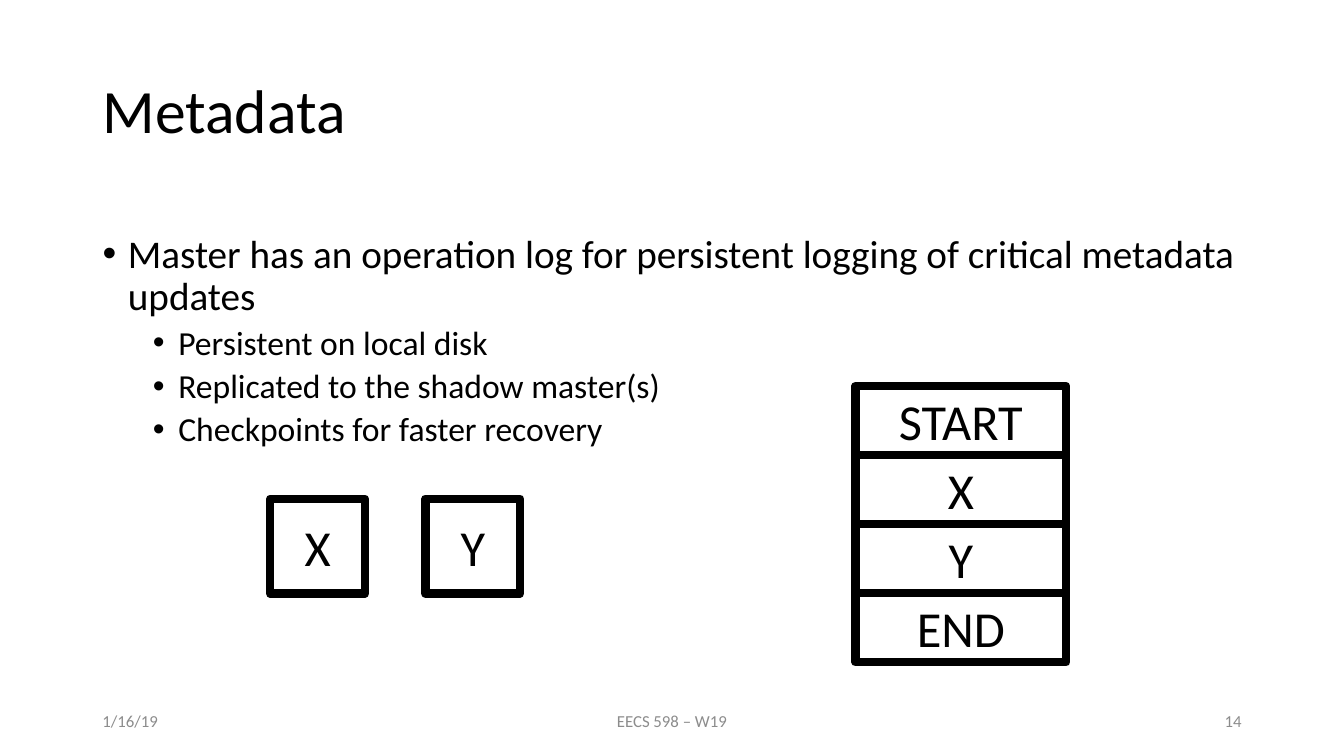
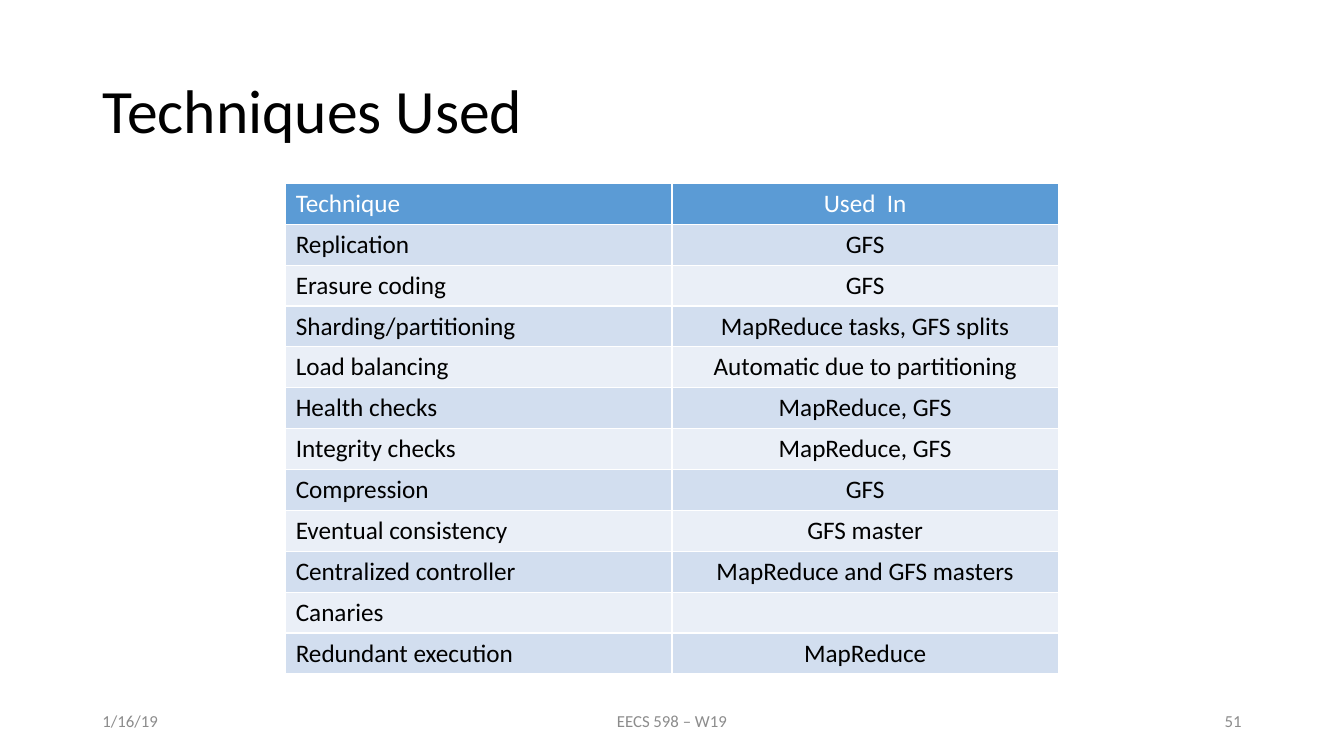
from lxml import etree
from pptx import Presentation
from pptx.dml.color import RGBColor
from pptx.enum import shapes, text
from pptx.oxml import ns
from pptx.util import Cm, Pt

BLACK = RGBColor(0x00, 0x00, 0x00)
WHITE = RGBColor(0xFF, 0xFF, 0xFF)
GREY = RGBColor(0x8C, 0x8C, 0x8C)
BLUE = RGBColor(0x5B, 0x9B, 0xD5)
BANDS = RGBColor(0xD2, 0xDE, 0xEF), RGBColor(0xEA, 0xEF, 0xF7)
FONT = "Calibri"
LEFT, CENTER, RIGHT = text.PP_ALIGN.LEFT, text.PP_ALIGN.CENTER, text.PP_ALIGN.RIGHT
MARGIN, WIDTH = Cm(2.33), Cm(29.21)

POINTS = [
    (0, "Master has an operation log for persistent logging of critical metadata updates"),
    (1, "Persistent on local disk"),
    (1, "Replicated to the shadow master(s)"),
    (1, "Checkpoints for faster recovery"),
]
USES = [
    ("Technique", "Used  In"),
    ("Replication", "GFS"),
    ("Erasure coding", "GFS"),
    ("Sharding/partitioning", "MapReduce tasks, GFS splits"),
    ("Load balancing", "Automatic due to partitioning"),
    ("Health checks", "MapReduce, GFS"),
    ("Integrity checks", "MapReduce, GFS"),
    ("Compression", "GFS"),
    ("Eventual consistency", "GFS master"),
    ("Centralized controller", "MapReduce and GFS masters"),
    ("Canaries", ""),
    ("Redundant execution", "MapReduce"),
]


def style(para, size, color=BLACK, align=LEFT):
    para.alignment = align
    font = para.font
    font.name, font.size, font.bold = FONT, Pt(size), False
    font.color.rgb = color


def place(shape, box):
    shape.left, shape.top, shape.width, shape.height = box
    frame = shape.text_frame
    frame.word_wrap = True
    frame.auto_size = text.MSO_AUTO_SIZE.NONE
    frame.vertical_anchor = text.MSO_ANCHOR.MIDDLE
    return frame


def bullet(para, level):
    para.level = level
    props = para._p.get_or_add_pPr()
    props.set("marL", str(Cm(0.64 + 1.27 * level)))
    props.set("indent", str(-Cm(0.64)))
    etree.SubElement(props, ns.qn("a:buFont")).set("typeface", "Arial")
    etree.SubElement(props, ns.qn("a:buChar")).set("char", "•")


def add_page(deck, layout, title, number):
    slide = deck.slides.add_slide(deck.slide_layouts[layout])
    frame = place(slide.shapes.title, (MARGIN, Cm(1.01), WIDTH, Cm(3.68)))
    frame.text = title
    para = frame.paragraphs[0]
    para.line_spacing = 0.9
    style(para, 44)
    add_foot(slide, (MARGIN, Cm(17.65), WIDTH, Cm(1.01)), number)
    return slide


def add_foot(slide, box, number):
    left, top, width, height = box
    side, mid = Cm(7.62), Cm(11.43)
    parts = [
        ("1/16/19", left, side, LEFT),
        ("EECS 598 – W19", left + (width - mid) // 2, mid, CENTER),
        (str(number), left + width - side, side, RIGHT),
    ]
    for words, x, span, align in parts:
        area = x, top, span, height
        frame = place(slide.shapes.add_textbox(*area), area)
        frame.text = words
        style(frame.paragraphs[0], 12, GREY, align)


def add_list(slide, box, points):
    frame = place(slide.placeholders[1], box)
    for i, (level, words) in enumerate(points):
        para = frame.add_paragraph() if i else frame.paragraphs[0]
        para.text = words
        bullet(para, level)
        para.line_spacing = 0.9
        para.space_before = Pt(5 if i else 0)
        style(para, 24 if level else 28)


def add_boxes(slide, box, labels, right=0, down=0):
    left, top, width, height = box
    for i, label in enumerate(labels):
        area = left + i * right, top + i * down, width, height
        block = slide.shapes.add_shape(shapes.MSO_SHAPE.RECTANGLE, *area)
        block.shadow.inherit = False
        block.fill.solid()
        block.fill.fore_color.rgb = WHITE
        block.line.color.rgb = BLACK
        block.line.width = Pt(6)
        frame = place(block, area)
        frame.text = label
        style(frame.paragraphs[0], 36, BLACK, CENTER)


def add_grid(slide, box, rows):
    grid = slide.shapes.add_table(len(rows), len(rows[0]), *box).table
    for r, row in enumerate(rows):
        for c, words in enumerate(row):
            cell = grid.cell(r, c)
            cell.fill.solid()
            cell.fill.fore_color.rgb = BANDS[(r - 1) % 2] if r else BLUE
            cell.text = words
            style(cell.text_frame.paragraphs[0], 18, BLACK if r else WHITE,
                  CENTER if c else LEFT)


def add_metadata(deck):
    slide = add_page(deck, 1, "Metadata", 14)
    add_list(slide, (MARGIN, Cm(5.08), WIDTH, Cm(7.06)), POINTS)
    add_boxes(slide, (Cm(6.81), Cm(12.57), Cm(2.39), Cm(2.39)), "XY", right=Cm(3.91))
    add_boxes(slide, (Cm(21.56), Cm(9.73), Cm(5.31), Cm(1.74)),
              ["START", "X", "Y", "END"], down=Cm(1.74))


def add_techniques(deck):
    slide = add_page(deck, 5, "Techniques Used", 51)
    add_grid(slide, (Cm(7.2), Cm(4.62), Cm(19.47), Cm(12.37)), USES)


def main():
    deck = Presentation()
    deck.slide_width, deck.slide_height = Cm(33.87), Cm(19.05)
    add_metadata(deck)
    add_techniques(deck)
    deck.save("out.pptx")


if __name__ == "__main__":
    main()
